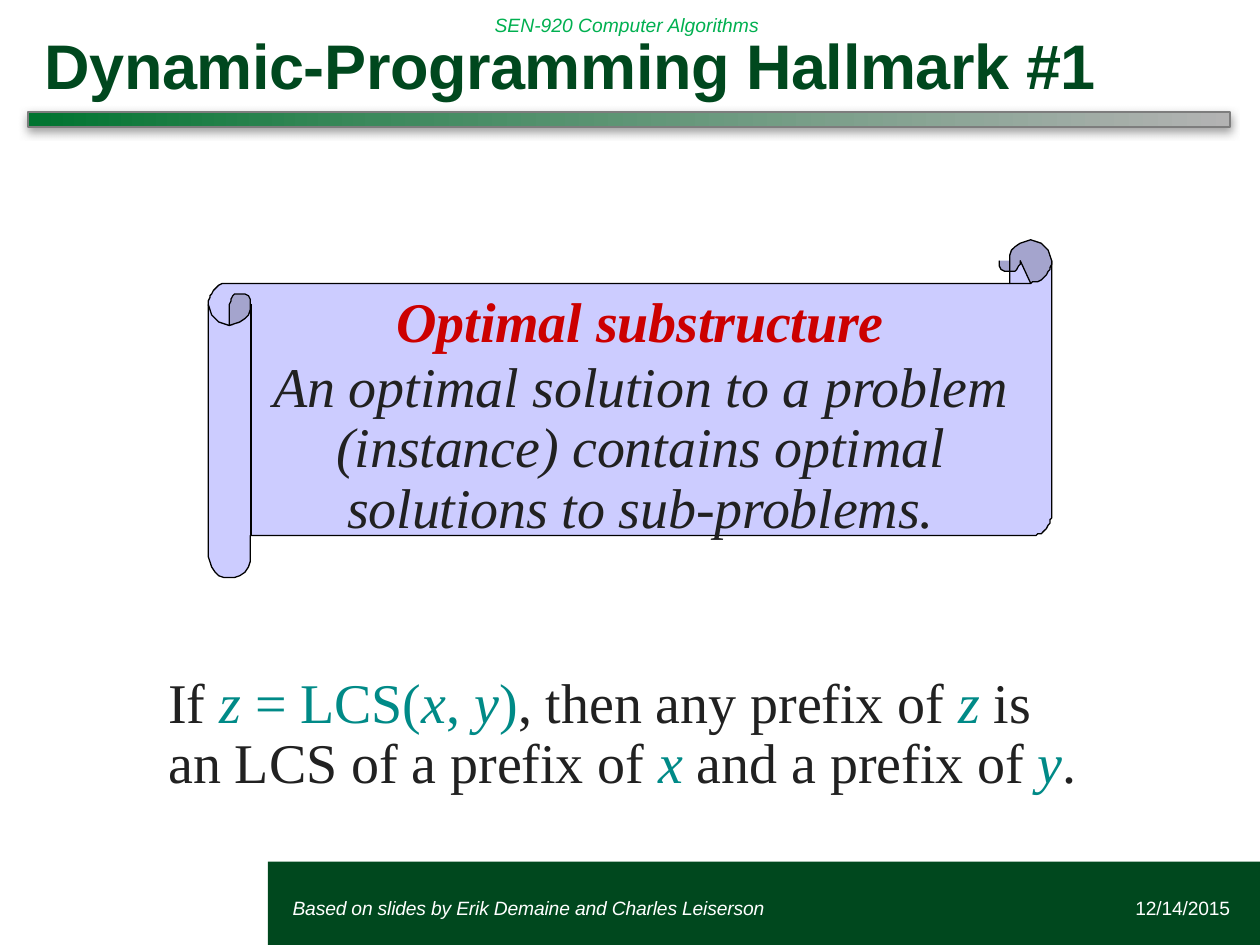
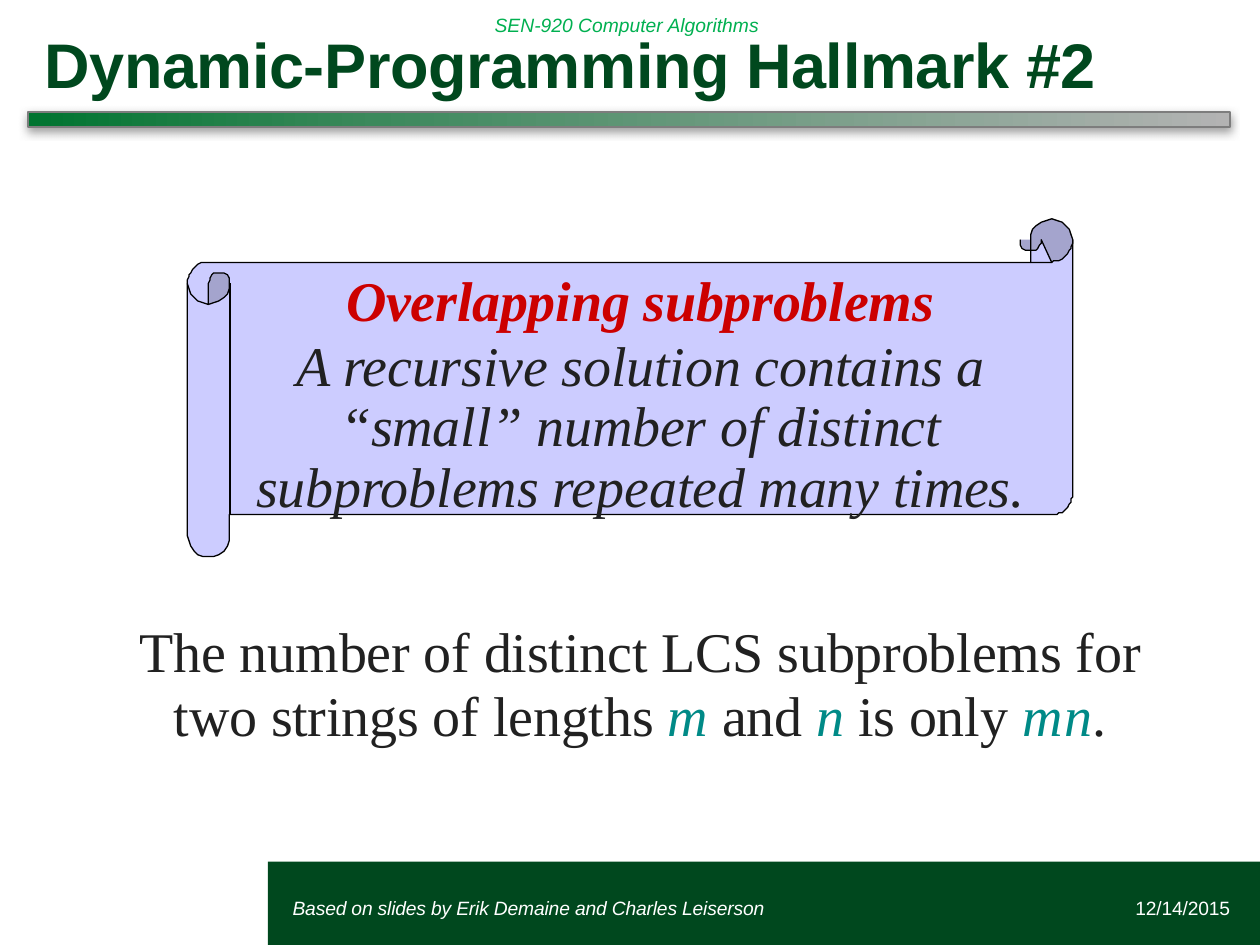
"""Build two slides on the hallmarks of dynamic programming."""
from dataclasses import dataclass, field
from math import cos, radians, sin
from typing import NamedTuple

from lxml import etree
from pptx import Presentation
from pptx.dml.color import RGBColor
from pptx.enum import shapes as es, text as et
from pptx.oxml import ns
from pptx.util import Pt


@dataclass(frozen=True)
class Theme:
    """Colours, fonts and type sizes of the deck."""
    dark: str = "00481E"
    header: str = "00B050"
    white: str = "FFFFFF"
    black: str = "000000"
    ink: str = "212121"
    teal: str = "008A87"
    red: str = "CC0000"
    scroll: str = "CCCCFF"
    curl: str = "A4A4CD"
    bar_line: str = "7D7D7D"
    shadow: str = "808080"
    bar_stops: tuple = ((0, "007430"), (29, "3C895C"), (100, "B3B3B3"))
    sans: str = "Arial"
    serif: str = "Times New Roman"
    small: float = 11
    body: float = 32
    title: float = 36


T = Theme()


class Box(NamedTuple):
    """Left, top, width and height in points."""
    left: float
    top: float
    width: float
    height: float


class Style(NamedTuple):
    """Character format; tracking is in hundredths of a point."""
    color: str
    font: dict
    tracking: int = -10


SMALL = {"name": T.sans, "size": Pt(T.small)}
BODY = {"name": T.serif, "size": Pt(T.body)}
TERM = BODY | {"bold": True, "italic": True}
STYLES = {
    "title": Style(T.dark, {"name": T.sans, "size": Pt(T.title), "bold": True}, -25),
    "header": Style(T.header, SMALL | {"italic": True}, 0),
    "date": Style(T.white, SMALL),
    "credit": Style(T.white, SMALL | {"italic": True}),
    "plain": Style(T.ink, BODY),
    "loose": Style(T.ink, BODY, -5),
    "italic": Style(T.ink, BODY | {"italic": True}),
    "term": Style(T.red, TERM),
    "tight term": Style(T.red, TERM, -15),
    "math": Style(T.teal, BODY, -5),
    "var": Style(T.teal, BODY | {"italic": True}),
    "wide var": Style(T.teal, BODY | {"italic": True}, 100),
}


@dataclass
class Para:
    """A paragraph: runs of (text, style), margins and paragraph format."""
    runs: list
    left: float = 0.7
    right: float = 0
    fmt: dict = field(default_factory=dict)


@dataclass
class Hallmark:
    """The content and layout of one slide."""
    title: str
    title_box: Box
    title_spacing: float
    scroll: Box
    scroll_text: Box
    definition: list
    example_box: Box
    example: Para


def centred(spacing: float, before: float = 0) -> dict:
    """Return the format of a centred paragraph with fixed line height."""
    return {"alignment": et.PP_ALIGN.CENTER, "line_spacing": Pt(spacing),
            "space_before": Pt(before)}


def place(s, box: Box) -> None:
    """Move and size a shape."""
    for name, value in box._asdict().items():
        setattr(s, name, Pt(value))


def write(s, paras: list, anchor=et.MSO_ANCHOR.TOP, insets: tuple = (0, 0)) -> None:
    """Write formatted paragraphs into a shape."""
    tf = s.text_frame
    side, edge = map(Pt, insets)
    frame = {"word_wrap": True, "vertical_anchor": anchor,
             "auto_size": et.MSO_AUTO_SIZE.NONE,
             "margin_left": side, "margin_right": side,
             "margin_top": edge, "margin_bottom": edge}
    for name, value in frame.items():
        setattr(tf, name, value)
    for i, para in enumerate(paras):
        p = tf.add_paragraph() if i else tf.paragraphs[0]
        for name, value in para.fmt.items():
            setattr(p, name, value)
        pPr = p._p.get_or_add_pPr()
        for name, value in {"marL": para.left, "marR": para.right, "indent": 0}.items():
            pPr.set(name, str(int(Pt(value))))
        for text, key in para.runs:
            r, style = p.add_run(), STYLES[key]
            r.text = text
            for name, value in style.font.items():
                setattr(r.font, name, value)
            r.font.color.rgb = RGBColor.from_string(style.color)
            r._r.get_or_add_rPr().set("spc", str(style.tracking))


def add_text(sp, box: Box, paras: list, **frame):
    """Add a text box."""
    s = sp.add_textbox(*map(Pt, box))
    write(s, paras, **frame)
    return s


def paint(s, fill: str = "", line: str = "", width: float = 0.75):
    """Give a shape a plain fill and line; an empty colour means none."""
    s.shadow.inherit = False
    for target, color in ((s.fill, fill), (s.line.fill, line)):
        if color:
            target.solid()
            target.fore_color.rgb = RGBColor.from_string(color)
        else:
            target.background()
    if line:
        s.line.width = Pt(width)
    return s


def add_rect(sp, box: Box, *colors):
    """Add a painted rectangle."""
    return paint(sp.add_shape(es.MSO_SHAPE.RECTANGLE, *map(Pt, box)), *colors)


def add_color(parent, color: str):
    """Append an sRGB colour element."""
    return etree.SubElement(parent, ns.qn("a:srgbClr"), val=color)


def add_bar(sp):
    """Add the shaded gradient bar below the title."""
    s = add_rect(sp, Box(16, 64, 687, 8.6), T.white, T.bar_line, 1)
    s.fill.gradient()
    s.fill.gradient_angle = 0
    stops = s.element.find(".//" + ns.qn("a:gsLst"))
    for stop in list(stops):
        stops.remove(stop)
    for pos, color in T.bar_stops:
        add_color(etree.SubElement(stops, ns.qn("a:gs"), pos=str(pos * 1000)), color)
    effects = s.element.find(".//" + ns.qn("a:effectLst"))
    shadow = etree.SubElement(effects, ns.qn("a:outerShdw"), blurRad=str(int(Pt(5))),
                              dist=str(int(Pt(2))), dir="5400000", rotWithShape="0")
    etree.SubElement(add_color(shadow, T.shadow), ns.qn("a:alpha"), val="75000")
    return s


def arc(x: float, y: float, r: float, start: int, end: int) -> list:
    """Return points on an arc; angles run clockwise from the right."""
    angles = [radians(start + (end - start) * i / 12) for i in range(13)]
    return [(x + r * cos(a), y + r * sin(a)) for a in angles]


def add_scroll(sp, box: Box) -> None:
    """Draw a scroll whose rolls are an eighth of its height wide."""
    u = box.height / 8
    r = u / 2
    left, top = box.left, box.top
    right, bottom = left + box.width, top + box.height
    lx, ly, rx, ry = left + r, top + u + r, right - r, top + r
    left_curl = arc(left + 1.5 * r, ly, r / 2, 360, 180) + [(lx, ly + r)]
    right_curl = arc(right - 1.5 * u / 2 - r / 2, ry, r / 2, 180, 0) + [(rx, ry + r)]
    right_top = arc(rx, ry, r, 360, 180)
    outline = (right_top + [(right - u, top + u)] + arc(lx, ly, r, 270, 180)
               + arc(lx, bottom - r, r, 180, 0) + [(left + u, bottom - u)]
               + arc(rx, bottom - u - r, r, 90, 0))
    parts = [
        (outline, True, T.scroll, ""),
        (left_curl + arc(lx, ly, r, 90, 0), True, T.curl, ""),
        (right_top + right_curl + arc(rx, ry, r, 90, 0), True, T.curl, ""),
        (outline, True, "", T.black),
        (arc(lx, ly, r, 180, 0) + left_curl, False, "", T.black),
        (arc(rx, ry, r, 0, 90) + [(right - u, top + u)], False, "", T.black),
        (right_curl, False, "", T.black),
    ]
    for points, close, fill, line in parts:
        (x, y), *rest = points
        fb = sp.build_freeform(x, y, scale=Pt(1))
        fb.add_line_segments(rest, close=close)
        paint(fb.convert_to_shape(), fill, line)
    seam = sp.add_connector(es.MSO_CONNECTOR.STRAIGHT, *map(
        Pt, (left + u, ly, left + u, bottom - u)))
    seam.line.color.rgb = RGBColor.from_string(T.black)
    seam.line.width = Pt(0.75)
    etree.SubElement(seam.element.spPr, ns.qn("a:effectLst"))


def dress_layout(layout, sp) -> None:
    """Draw the band, course name and bar, and move them to the layout."""
    shared = [
        add_rect(sp, Box(153, 492.3, 567, 47.7), T.dark),
        add_text(sp, Box(275.6, 0, 332, 28),
                 [Para([("SEN-920 Computer Algorithms", "header")], 0)],
                 anchor=et.MSO_ANCHOR.MIDDLE, insets=(7.2, 3.6)),
        add_bar(sp),
    ]
    for s in shared:
        layout.shapes.element.append(s.element)


def add_footer(sp) -> None:
    """Add the date and the credit line."""
    middle = et.MSO_ANCHOR.MIDDLE
    add_text(sp, Box(535, 504, 168, 29),
             [Para([("12/14/2015", "date")], fmt={"alignment": et.PP_ALIGN.RIGHT})],
             anchor=middle)
    add_text(sp, Box(166.5, 504, 332, 29),
             [Para([("Based on slides by Erik Demaine and Charles Leiserson", "credit")])],
             anchor=middle)


def add_hallmark(slide, h: Hallmark) -> None:
    """Fill one slide."""
    sp = slide.shapes
    place(sp.title, h.title_box)
    write(sp.title, [Para([(h.title, "title")], 9.4,
                          fmt={"alignment": et.PP_ALIGN.LEFT,
                               "line_spacing": h.title_spacing})])
    add_footer(sp)
    add_scroll(sp, h.scroll)
    add_text(sp, h.scroll_text, h.definition)
    add_text(sp, h.example_box, [h.example])


HALLMARKS = [
    Hallmark(
        "Dynamic-Programming Hallmark #1", Box(16, 23.3, 687, 34.6), 0.8,
        Box(119.3, 137.4, 481.5, 193), Box(95.5, 165.4, 524, 145.4),
        [Para([("Optimal substructure", "term")], 16.6, fmt=centred(36.6)),
         Para([("An optimal solution to a problem (instance) contains optimal "
                "solutions to sub-problems.", "italic")], 57.6, 40.6,
              centred(34.6, 2.5))],
        Box(95.5, 385, 524, 70.6),
        Para([("If ", "loose"), ("z ", "var"), ("= LCS(", "math"), ("x", "var"),
              (", ", "math"), ("y", "var"), (")", "math"),
              (", then any prefix of ", "loose"), ("z ", "var"),
              ("is an LCS of a prefix of ", "loose"), ("x ", "var"),
              ("and a prefix of ", "loose"), ("y", "var"), (".", "loose")],
             fmt={"line_spacing": Pt(34.6)})),
    Hallmark(
        "Dynamic-Programming Hallmark #2", Box(16, 33.8, 687, 26.6), Pt(24),
        Box(107.3, 125.4, 505.5, 193), Box(73, 153.4, 579.6, 145.4),
        [Para([("Overlapping subproblems", "tight term")], 5.8, fmt=centred(36.6)),
         Para([("A recursive solution contains a “small” number of distinct "
                "subproblems repeated many times.", "italic")], 69.8, 63.4,
              centred(34.6, 2.5))],
        Box(73, 354.2, 579.6, 75),
        Para([("The number of distinct LCS subproblems for two strings of lengths ",
               "plain"), ("m ", "var"), ("and ", "plain"), ("n ", "var"),
              ("is only ", "plain"), ("m", "wide var"), ("n", "var"), (".", "plain")],
             5.8, fmt=centred(36.6))),
]


def main() -> None:
    """Build and save the deck."""
    prs = Presentation()
    prs.slide_width, prs.slide_height = Pt(720), Pt(540)
    layout = prs.slide_layouts[5]
    slides = [prs.slides.add_slide(layout) for _ in HALLMARKS]
    dress_layout(layout, slides[0].shapes)
    for slide, hallmark in zip(slides, HALLMARKS):
        add_hallmark(slide, hallmark)
    prs.save("out.pptx")


if __name__ == "__main__":
    main()
